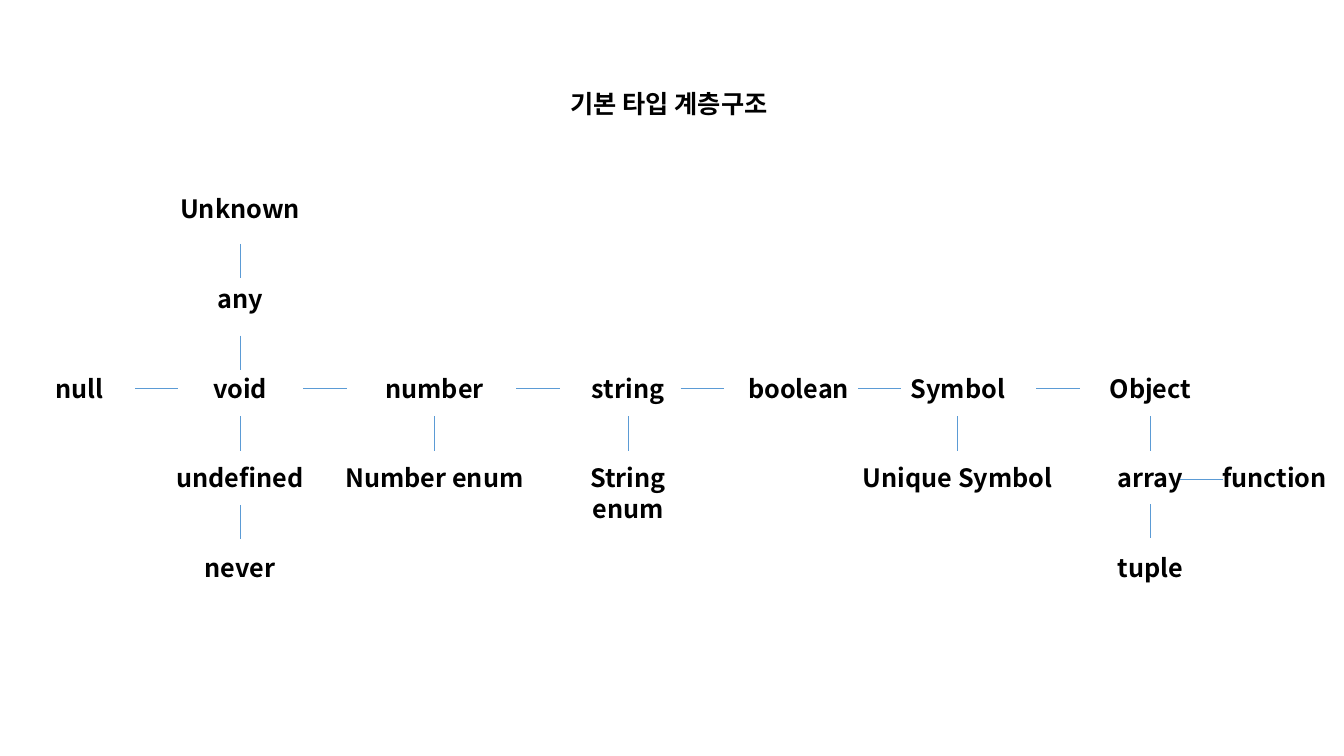
from lxml import etree
from pptx import Presentation
from pptx.dml.color import RGBColor
from pptx.enum.shapes import MSO_CONNECTOR
from pptx.enum.text import MSO_ANCHOR, MSO_AUTO_SIZE, PP_ALIGN
from pptx.oxml.ns import qn
from pptx.util import Inches, Pt

STRAIGHT = MSO_CONNECTOR.STRAIGHT
TOP = MSO_ANCHOR.TOP
FIT_SHAPE = MSO_AUTO_SIZE.SHAPE_TO_FIT_TEXT
CENTER = PP_ALIGN.CENTER

BLACK = RGBColor(0x00, 0x00, 0x00)
BLUE = RGBColor(0x5B, 0x9B, 0xD5)
FONT = "Noto Sans CJK KR"

LABEL_HEIGHT = 0.4
LABEL_WIDTH = 1.69
ROW_STEP = 0.89
LINK_HEIGHT = 0.34
LINK_WIDTH = 0.43
MAIN_ROW = 2

MAIN_TYPES = [
    ("null", 0.79),
    ("void", 2.38),
    ("number", 4.31),
    ("string", 6.23),
    ("boolean", 7.92),
    ("Symbol", 9.5),
    ("Object", 11.41),
]
RELATED_TYPES = [
    ("Unknown", 2.38, 0, LABEL_WIDTH),
    ("any", 2.38, 1, LABEL_WIDTH),
    ("undefined", 2.38, 3, LABEL_WIDTH),
    ("never", 2.38, 4, LABEL_WIDTH),
    ("Number enum", 4.31, 3, 2.06),
    ("String enum", 6.23, 3, LABEL_WIDTH),
    ("Unique Symbol", 9.5, 3, 2.11),
    ("array", 11.41, 3, 1.4),
    ("function", 12.64, 3, 1.4),
    ("tuple", 11.41, 4, 1.4),
]
LINKS_DOWN = [
    (2.38, 0.55),
    (2.38, 1.46),
    (2.38, 2.26),
    (2.38, 3.14),
    (4.31, 2.26),
    (6.23, 2.26),
    (9.5, 2.26),
    (11.41, 2.26),
    (11.41, 3.13),
]
LINKS_ACROSS = [
    (1.34, 1.98),
    (3.01, 1.98),
    (5.12, 1.98),
    (6.75, 1.98),
    (8.51, 1.98),
    (10.28, 1.98),
    (11.7, 2.89),
]


def write_label(shape, text):
    text_frame = shape.text_frame
    text_frame.text = text
    text_frame.word_wrap = True
    text_frame.auto_size = FIT_SHAPE
    text_frame.vertical_anchor = TOP
    paragraph = text_frame.paragraphs[0]
    paragraph.alignment = CENTER
    run = paragraph.runs[0]
    run.font.size = Pt(18)
    run.font.bold = True
    run.font.color.rgb = BLACK
    run.font.name = FONT
    east_asian = etree.SubElement(run._r.get_or_add_rPr(), qn("a:ea"))
    east_asian.set("typeface", FONT)


def add_label(slide, text, center, top, width):
    shape = slide.shapes.add_textbox(
        Inches(center - width / 2), Inches(top), Inches(width), Inches(LABEL_HEIGHT)
    )
    write_label(shape, text)


def add_link(slide, left, top, width, height):
    connector = slide.shapes.add_connector(
        STRAIGHT, Inches(left), Inches(top), Inches(left + width), Inches(top + height)
    )
    connector.line.color.rgb = BLUE
    connector.line.width = Pt(0.5)
    etree.SubElement(connector._element.spPr, qn("a:effectLst"))


def add_title(slide, left, top, width, height):
    title = slide.shapes.title
    title.left, title.top = Inches(left), Inches(top)
    title.width, title.height = Inches(width), Inches(height)
    write_label(title, "기본 타입 계층구조")


def add_type_hierarchy(slide, left, top):
    main_types = [(text, center, MAIN_ROW, LABEL_WIDTH) for text, center in MAIN_TYPES]
    for text, center, row, width in main_types + RELATED_TYPES:
        add_label(slide, text, left + center, top + row * ROW_STEP, width)
    for x, y in LINKS_DOWN:
        add_link(slide, left + x, top + y, 0, LINK_HEIGHT)
    for x, y in LINKS_ACROSS:
        add_link(slide, left + x, top + y, LINK_WIDTH, 0)


def main():
    presentation = Presentation()
    presentation.slide_width = Inches(13.33)
    presentation.slide_height = Inches(7.5)
    slide = presentation.slides.add_slide(presentation.slide_layouts[5])
    add_title(slide, 4.46, 0.83, 4.35, LABEL_HEIGHT)
    add_type_hierarchy(slide, 0, 1.87)
    presentation.save("out.pptx")


if __name__ == "__main__":
    main()
